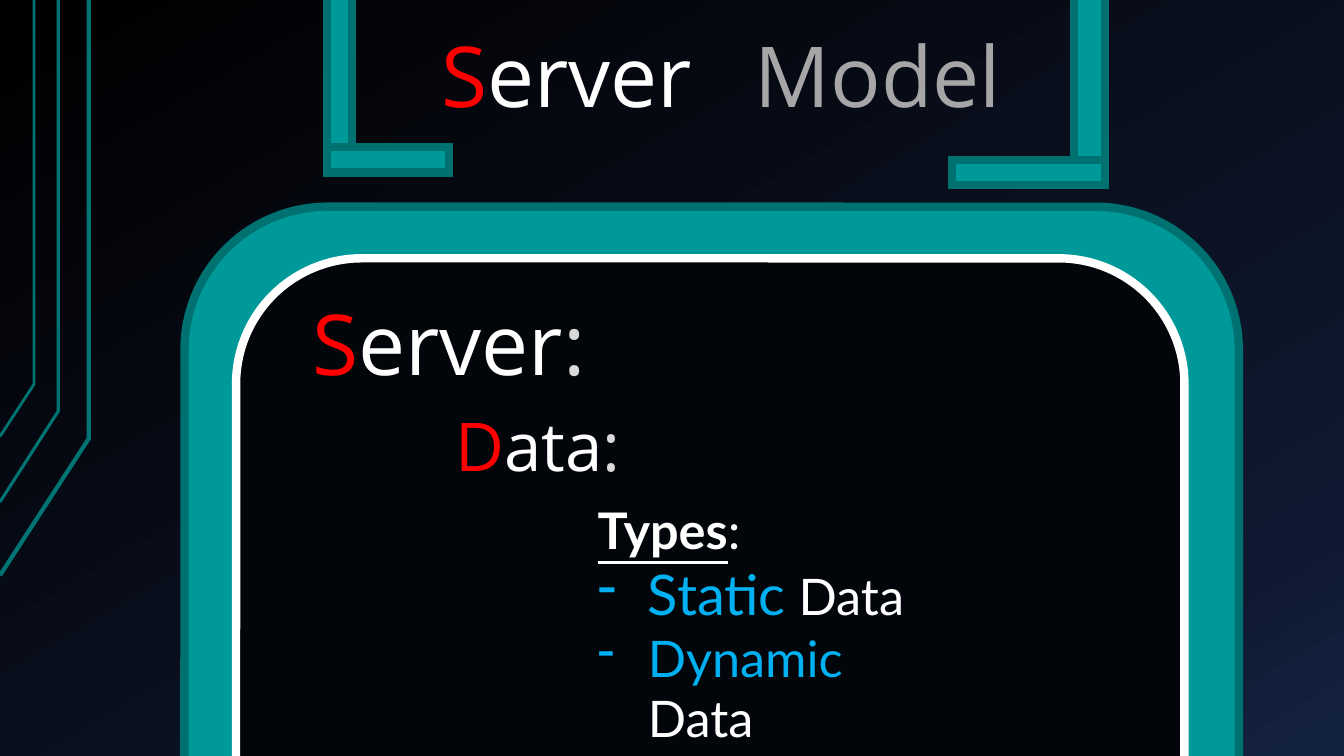
from copy import deepcopy

from lxml import etree
from pptx import Presentation
from pptx.dml.color import RGBColor
from pptx.enum.shapes import MSO_SHAPE
from pptx.oxml.ns import qn
from pptx.util import Cm, Pt

RECT = MSO_SHAPE.RECTANGLE
ROUND_RECT = MSO_SHAPE.ROUNDED_RECTANGLE

TEAL = RGBColor(0x00, 0x99, 0x99)
TEAL_DARK = RGBColor(0x00, 0x71, 0x71)
TRACE = RGBColor(0x00, 0x73, 0x73)
PANEL = RGBColor(0x02, 0x05, 0x0A)
WHITE = RGBColor(0xFF, 0xFF, 0xFF)
RED = RGBColor(0xFF, 0x00, 0x00)
BLUE = RGBColor(0x00, 0xB0, 0xF0)
GREY = RGBColor(0xA6, 0xA6, 0xA6)
GREY_LIGHT = RGBColor(0xD9, 0xD9, 0xD9)
BACKDROP = [(0, RGBColor(0x00, 0x00, 0x00)),
            (0.85, RGBColor(0x0F, 0x19, 0x31)),
            (1, RGBColor(0x14, 0x22, 0x42))]


def paint_background(s):
    fill = s.background.fill
    fill.gradient()
    fill.gradient_angle = 300
    last = list(s.element.iter(qn("a:gs")))[-1]
    last.addnext(deepcopy(last))
    for stop, (position, color) in zip(fill.gradient_stops, BACKDROP):
        stop.position = position
        stop.color.rgb = color


def add_block(s, kind, x, y, w, h, fill, line):
    sp = s.shapes.add_shape(kind, Cm(x), Cm(y), Cm(w), Cm(h))
    sp.shadow.inherit = False
    sp.fill.solid()
    sp.fill.fore_color.rgb = fill
    sp.line.color.rgb = line
    sp.line.width = Pt(6)
    etree.SubElement(sp.line._get_or_add_ln(), qn("a:miter"), lim="800000")


def add_traces(s, x, y):
    """Circuit lines: down from the top edge, then off to the left."""
    for dx, bend, end, width in [(2.24, 11.05, 14.5, 3),
                                 (1.47, 10.36, 12.65, 2.25),
                                 (0.86, 9.68, 11, 2)]:
        builder = s.shapes.build_freeform(Cm(x), Cm(y + end))
        builder.add_line_segments([(Cm(x + dx), Cm(y + bend)),
                                   (Cm(x + dx), Cm(y))], close=False)
        sp = builder.convert_to_shape()
        sp.shadow.inherit = False
        sp.fill.background()
        sp.line.color.rgb = TRACE
        sp.line.width = Pt(width)


def add_bracket(s, x, y, w, h, bar, foot, on_right=False):
    """An upright bar with a foot that points to the middle."""
    bar_x = x + w - bar if on_right else x
    add_block(s, RECT, bar_x, y, bar, h - foot, TEAL, TEAL_DARK)
    add_block(s, RECT, x, y + h - foot, w, foot, TEAL, TEAL_DARK)


def add_panel(s, x, y, w, h):
    inset = 1.3
    add_block(s, ROUND_RECT, x, y, w, h, TEAL, TEAL_DARK)
    add_block(s, ROUND_RECT, x + inset, y + inset, w - 2 * inset - 0.07,
              h - 2 * inset - 0.04, PANEL, WHITE)


def add_run(p, text, size, color, font, bold=False):
    r = p.add_run()
    r.text = text
    r.font.name = font
    r.font.size = Pt(size)
    r.font.color.rgb = color
    r.font.bold = bold
    r.font.underline = bold


def add_text_frame(s, x, y, w, h):
    tf = s.shapes.add_textbox(Cm(x), Cm(y), Cm(w), Cm(h)).text_frame
    tf.word_wrap = True
    return tf


def add_heading(s, x, y, w, h, size, runs):
    p = add_text_frame(s, x, y, w, h).paragraphs[0]
    for text, color in runs:
        add_run(p, text, size, color, "Open Sans")


def add_types(s, x, y, w, h):
    tf = add_text_frame(s, x, y, w, h)
    p = tf.paragraphs[0]
    add_run(p, "Types", 36, WHITE, "Lato", bold=True)
    add_run(p, ":", 36, WHITE, "Lato")
    for name, size in [("Static", 40), ("Dynamic", 36)]:
        p = tf.add_paragraph()
        pPr = p._p.get_or_add_pPr()
        pPr.set("marL", str(Cm(1.27)))
        pPr.set("indent", str(-Cm(1.27)))
        etree.SubElement(pPr, qn("a:buFontTx"))
        etree.SubElement(pPr, qn("a:buChar"), char="-")
        add_run(p, name, size, BLUE, "Lato")
        add_run(p, " Data", 36, WHITE, "Lato")


def main():
    prs = Presentation()
    prs.slide_width, prs.slide_height = Cm(33.87), Cm(19.05)
    s = prs.slides.add_slide(prs.slide_layouts[6])

    # Backdrop and frames
    paint_background(s)
    add_traces(s, 0, 0)
    add_bracket(s, 23.99, -2.32, 3.86, 6.99, 0.79, 0.64, on_right=True)
    add_bracket(s, 8.24, -2.65, 3.07, 7, 0.64, 0.64)
    add_panel(s, 4.65, 5.21, 26.57, 21.64)

    # Title
    add_heading(s, 10.87, 0.48, 7.92, 2.82, 60,
                [("S", RED), ("erver", WHITE)])
    add_heading(s, 18.77, 0.48, 8.05, 2.82, 60, [("Model", GREY)])

    # Panel text
    add_heading(s, 7.62, 7.21, 9.35, 2.82, 60,
                [("S", RED), ("erver", WHITE), (":", GREY_LIGHT)])
    add_heading(s, 11.23, 10.06, 9.35, 2.31, 48,
                [("D", RED), ("ata", WHITE), (":", GREY_LIGHT)])
    add_types(s, 14.81, 12.45, 9.27, 5.05)

    prs.save("out.pptx")


if __name__ == "__main__":
    main()
